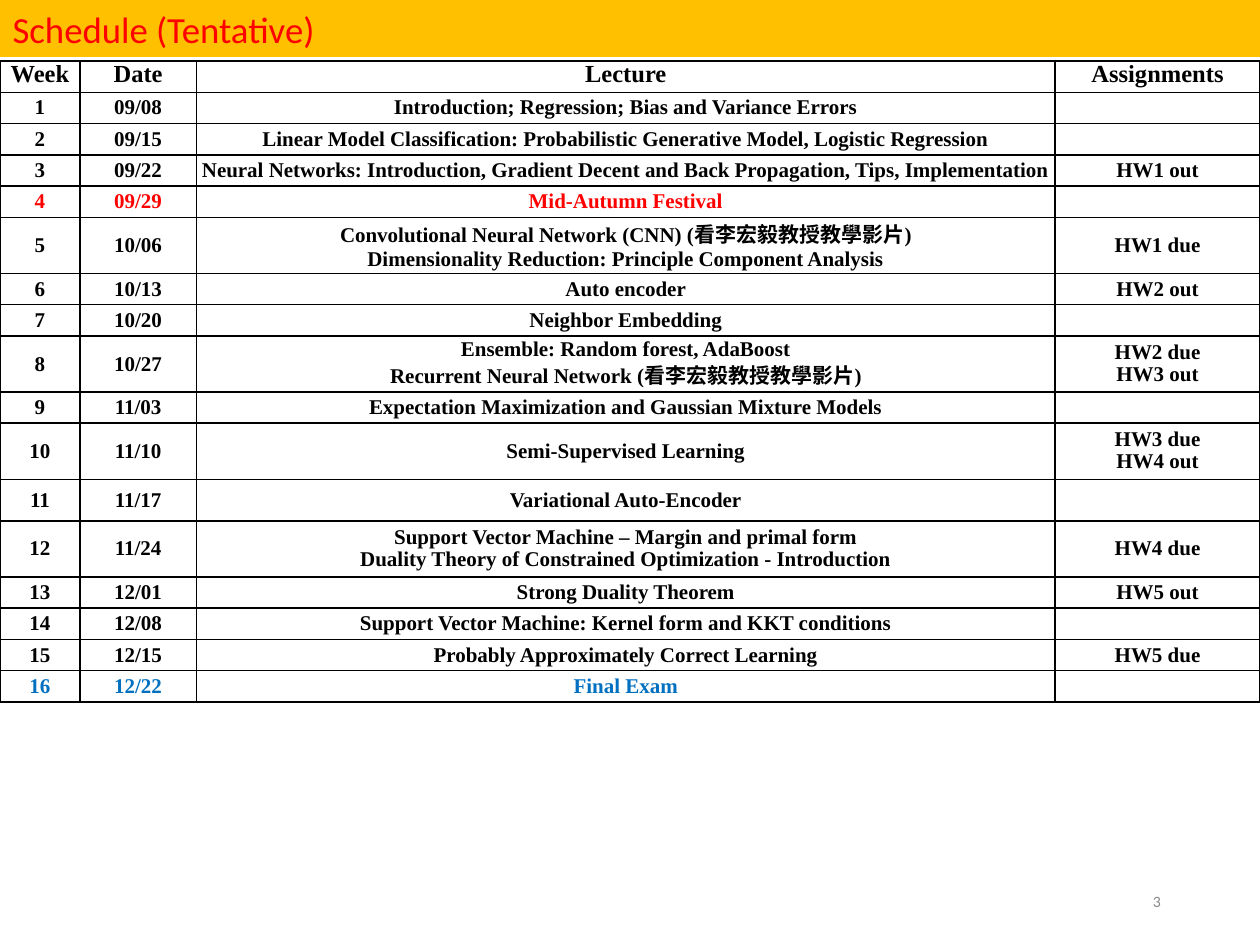
"""Build the course schedule slide with its week-by-week table."""
from lxml.etree import SubElement
from pptx import Presentation
from pptx.dml.color import RGBColor
from pptx.enum.text import MSO_ANCHOR as Anchor, MSO_AUTO_SIZE as AutoSize, PP_ALIGN as Align
from pptx.oxml.ns import qn
from pptx.util import Cm, Pt


def style_text(para, text, color, **font_values):
    span = para.add_run()
    span.text = text
    span.font.color.rgb = RGBColor.from_string(color)
    for name, value in font_values.items():
        setattr(span.font, name, value)


def add_borders(cell, color="000000", width=Pt(1)):
    properties = cell._tc.get_or_add_tcPr()
    for side in ("lnL", "lnR", "lnT", "lnB"):
        line = SubElement(properties, qn(f"a:{side}"), w=str(width))
        fill = SubElement(line, qn("a:solidFill"))
        SubElement(fill, qn("a:srgbClr"), val=color)


BLACK, RED, BLUE, GOLD, GRAY = "000000", "FF0000", "0070C0", "FFC000", "888888"
SINGLE, TALL, DOUBLE = 0.63, 0.84, 1.13
COLUMN_WIDTHS = (1.61, 2.35, 17.31, 4.13)
ROW_COLORS = {4: RED, 16: BLUE}
ROWS = [
    ("Week", "Date", "Lecture", "Assignments"),
    ("1", "09/08", "Introduction; Regression; Bias and Variance Errors", ""),
    ("2", "09/15", "Linear Model Classification: Probabilistic Generative Model, Logistic Regression", ""),
    ("3", "09/22", "Neural Networks: Introduction, Gradient Decent and Back Propagation, Tips, Implementation",
     "HW1 out"),
    ("4", "09/29", "Mid-Autumn Festival", ""),
    ("5", "10/06", "Convolutional Neural Network (CNN) (看李宏毅教授教學影片)\n"
     "Dimensionality Reduction: Principle Component Analysis", "HW1 due"),
    ("6", "10/13", "Auto encoder", "HW2 out"),
    ("7", "10/20", "Neighbor Embedding", ""),
    ("8", "10/27", "Ensemble: Random forest, AdaBoost\nRecurrent Neural Network (看李宏毅教授教學影片)",
     "HW2 due\nHW3 out"),
    ("9", "11/03", "Expectation Maximization and Gaussian Mixture Models", ""),
    ("10", "11/10", "Semi-Supervised Learning", "HW3 due\nHW4 out"),
    ("11", "11/17", "Variational Auto-Encoder", ""),
    ("12", "11/24", "Support Vector Machine – Margin and primal form\n"
     "Duality Theory of Constrained Optimization - Introduction", "HW4 due"),
    ("13", "12/01", "Strong Duality Theorem", "HW5 out"),
    ("14", "12/08", "Support Vector Machine: Kernel form and KKT conditions", ""),
    ("15", "12/15", "Probably Approximately Correct Learning", "HW5 due"),
    ("16", "12/22", "Final Exam", ""),
]

deck = Presentation()
deck.slide_width, deck.slide_height = Cm(25.4), Cm(19.05)
page = deck.slides.add_slide(deck.slide_layouts[5])

title = page.shapes.title
title_box = {"left": Cm(0), "top": Cm(0), "width": Cm(25.4), "height": Cm(1.15)}
for name, value in title_box.items():
    setattr(title, name, value)
title.fill.solid()
title.fill.fore_color.rgb = RGBColor.from_string(GOLD)
title.text_frame.auto_size = AutoSize.NONE
title.text_frame.vertical_anchor = Anchor.MIDDLE
title_para = title.text_frame.paragraphs[0]
title_para.alignment = Align.LEFT
style_text(title_para, "Schedule (Tentative)", RED, size=Pt(21), name="Calibri")

heights = [DOUBLE if any("\n" in text for text in row) else SINGLE for row in ROWS]
heights[11] = TALL
schedule = page.shapes.add_table(
    len(ROWS), len(COLUMN_WIDTHS), Cm(0), Cm(1.23), Cm(25.4), Cm(sum(heights))).table
schedule.first_row = schedule.horz_banding = False
for column, width in zip(schedule.columns, COLUMN_WIDTHS):
    column.width = Cm(width)

for week, (texts, height) in enumerate(zip(ROWS, heights)):
    schedule.rows[week].height = Cm(height)
    size = Pt(12) if week else Pt(14)
    for index, text in enumerate(texts):
        cell = schedule.cell(week, index)
        wide = week == 0 or index == 0
        side, edge = (Cm(0.15), Cm(0)) if wide else (Cm(0.08), Cm(0.05))
        cell_format = {
            "margin_left": side, "margin_right": side, "margin_top": edge, "margin_bottom": edge,
            "vertical_anchor": Anchor.MIDDLE if week else Anchor.TOP,
        }
        for name, value in cell_format.items():
            setattr(cell, name, value)
        add_borders(cell)
        cell.fill.background()
        for number, line_text in enumerate(text.split("\n")):
            frame = cell.text_frame
            para = frame.add_paragraph() if number else frame.paragraphs[0]
            para.alignment = Align.CENTER
            if line_text:
                para.line_spacing = 0.95 if "\n" in text else 1.0
                style_text(para, line_text, ROW_COLORS.get(week, BLACK),
                           size=size, name="Times New Roman", bold=True)
            else:
                SubElement(para._p, qn("a:endParaRPr"), sz="1200")

number_box = page.shapes.add_textbox(Cm(17.93), Cm(17.65), Cm(5.72), Cm(1.02))
number_box.text_frame.word_wrap = True
number_box.text_frame.vertical_anchor = Anchor.MIDDLE
number_para = number_box.text_frame.paragraphs[0]
number_para.alignment = Align.RIGHT
style_text(number_para, "3", GRAY, size=Pt(9), name="Calibri")

deck.save("out.pptx")
